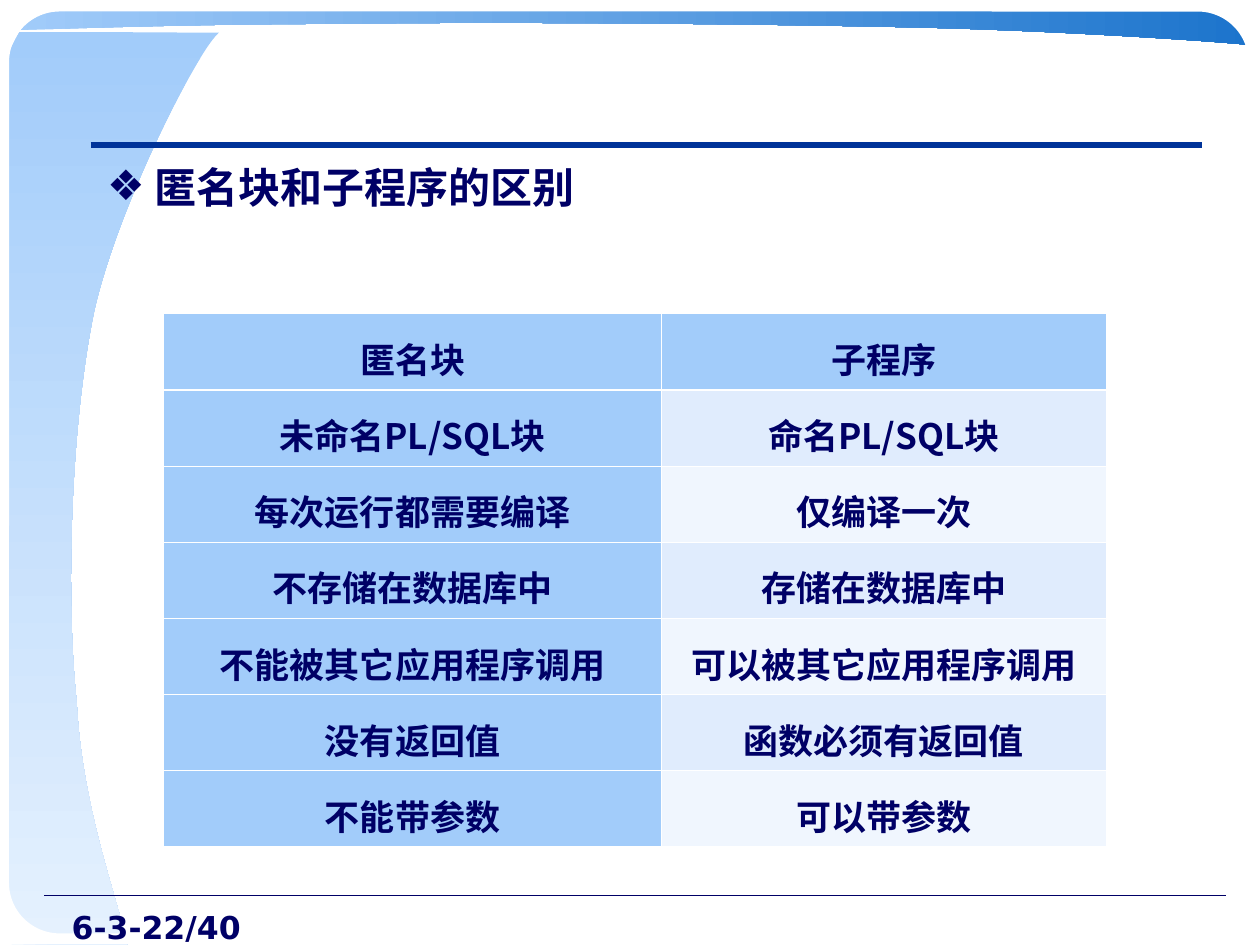
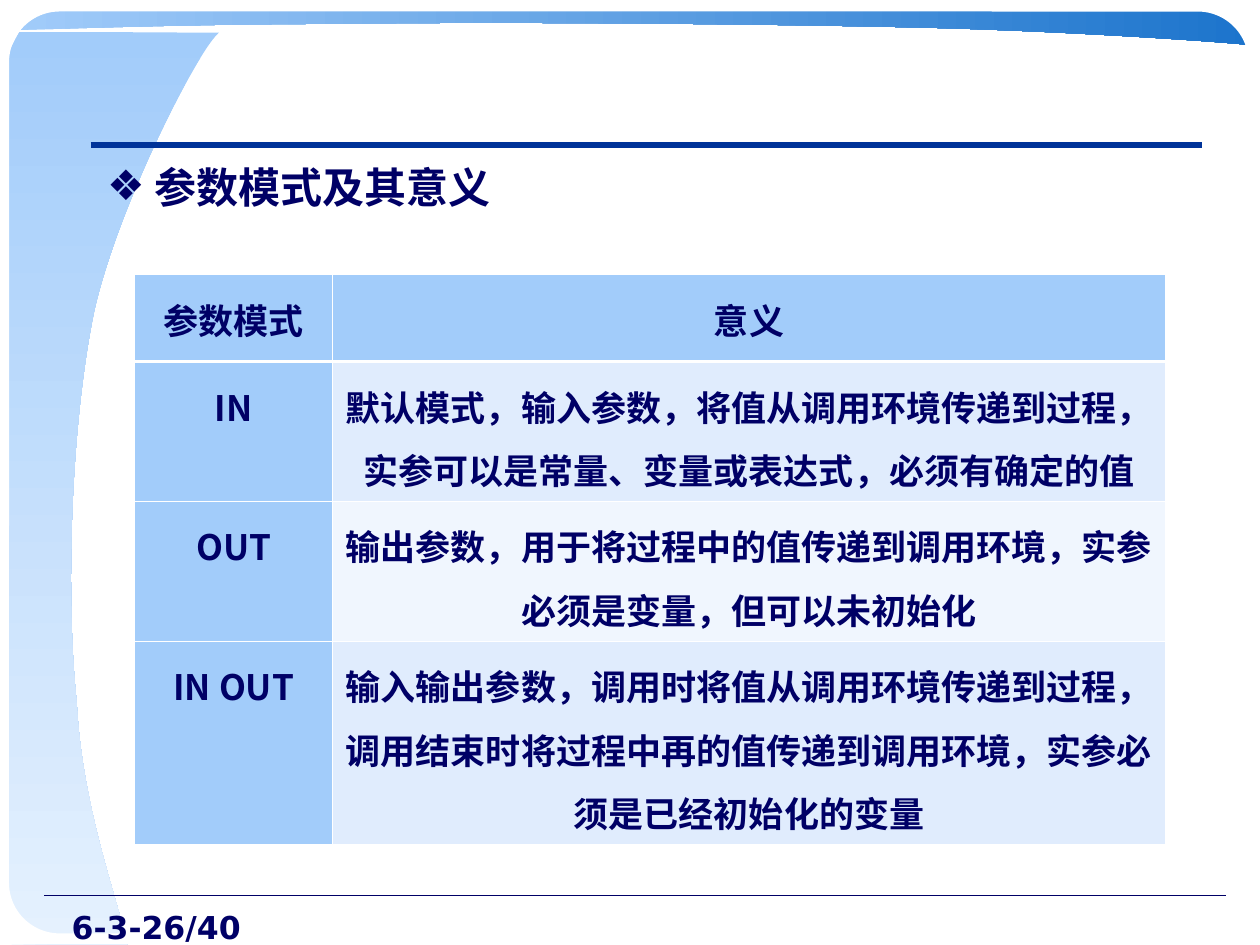
from lxml.etree import SubElement
from pptx import Presentation
from pptx.dml.color import RGBColor
from pptx.enum.shapes import MSO_CONNECTOR, MSO_SHAPE
from pptx.enum.text import MSO_ANCHOR, MSO_AUTO_SIZE, PP_ALIGN
from pptx.oxml.ns import qn
from pptx.util import Inches, Pt

NAVY, RULE_BLUE, WHITE = "000066", "003399", "FFFFFF"
SKY, PALE_SKY, DEEP_BLUE = "A2CCFA", "E5F1FE", "1C74CC"
ROW_BANDS = ("E0ECFD", "F0F6FE")
TEXT_FONT, NUMBER_FONT = "Noto Sans CJK SC", "DejaVu Sans"
TITLE_ONLY = 5

# Outlines in inches: a pair is a straight step, six numbers are a Bézier step.
SIDE_BAND = [(1.01, 7.5), (0.95, 7.18, 0.65, 6.42, 0.61, 5.58),
             (0.52, 4.74, 0.56, 3.37, 0.75, 2.46),
             (0.95, 1.59, 1.6, 0.35, 1.74, 0.26), (0.01, 0.25), (0, 7.5)]
TOP_BAND = [(0.07, 0.24), (0.51, 0.23, 1.49, 0.19, 2.71, 0.19),
            (3.86, 0.17, 6.12, 0.19, 7.36, 0.22),
            (8.54, 0.25, 9.82, 0.34, 9.94, 0.36), (9.95, 0.07), (0.07, 0.07)]
BOTTOM_LEFT_CORNER = [(0.48, 7.49), (0.19, 7.35), (0.05, 7.2), (0, 6.98), (0, 7.5)]
TOP_LEFT_CORNER = [(0, 0.55), (0.04, 0.49, 0.13, 0.26, 0.21, 0.17),
                   (0.28, 0.08, 0.5, 0.04, 0.48, 0), (0, 0.01)]
BOTTOM_RIGHT_CORNER = [(9.99, 7), (9.87, 7.25), (9.71, 7.41), (9.56, 7.5), (10, 7.49)]
TOP_RIGHT_CORNER = [(9.51, 0.01), (9.56, 0.03, 9.72, 0.02, 9.86, 0.17),
                    (9.99, 0.32, 9.97, 0.6, 9.99, 0.57), (9.99, 0.01)]
CORNERS = (BOTTOM_LEFT_CORNER, TOP_LEFT_CORNER, BOTTOM_RIGHT_CORNER, TOP_RIGHT_CORNER)

BLOCK_ROWS = [
    ("匿名块", "子程序"),
    ("未命名PL/SQL块", "命名PL/SQL块"),
    ("每次运行都需要编译", "仅编译一次"),
    ("不存储在数据库中", "存储在数据库中"),
    ("不能被其它应用程序调用", "可以被其它应用程序调用"),
    ("没有返回值", "函数必须有返回值"),
    ("不能带参数", "可以带参数"),
]
MODE_ROWS = [
    ("参数模式", "意义"),
    ("IN", "默认模式，输入参数，将值从调用环境传递到过程，实参可以是常量、变量或表达式，必须有确定的值"),
    ("OUT", "输出参数，用于将过程中的值传递到调用环境，实参必须是变量，但可以未初始化"),
    ("IN OUT", "输入输出参数，调用时将值从调用环境传递到过程，"
               "调用结束时将过程中再的值传递到调用环境，实参必须是已经初始化的变量"),
]


def color(hex_string):
    return RGBColor.from_string(hex_string)


def write_text(frame, text, size=20, font=TEXT_FONT, align=PP_ALIGN.CENTER,
               line_spacing=None, bullet=None):
    frame.word_wrap = True
    paragraph = frame.paragraphs[0]
    if bullet:
        add_bullet(paragraph, bullet)
    paragraph.alignment = align
    if line_spacing:
        paragraph.line_spacing = line_spacing
    run = paragraph.add_run()
    run.text = text
    run.font.size, run.font.bold, run.font.name = Pt(size), True, font
    run.font.color.rgb = color(NAVY)
    SubElement(run._r.get_or_add_rPr(), qn("a:ea"), typeface=font)


def add_bullet(paragraph, character, indent=Inches(0.38)):
    properties = paragraph._p.get_or_add_pPr()
    properties.set("marL", str(indent))
    properties.set("indent", str(-indent))
    bullet_color = SubElement(properties, qn("a:buClr"))
    SubElement(bullet_color, qn("a:srgbClr"), val=NAVY)
    SubElement(properties, qn("a:buFont"), typeface=NUMBER_FONT)
    SubElement(properties, qn("a:buChar"), char=character)


def curve_segments(shape, steps):
    """Join the three line segments of each Bézier step into one curve."""
    segments = iter(list(shape._element.iter(qn("a:lnTo"))))
    for step in steps[1:]:
        segment = next(segments)
        if len(step) == 6:
            segment.addprevious(curve := segment.makeelement(qn("a:cubicBezTo")))
            for line in (segment, next(segments), next(segments)):
                curve.append(line[0])
                line.getparent().remove(line)


def add_outline(slide, steps, colors, angle=0):
    """Draw a closed outline, filled with one colour or a two-colour gradient."""
    points = [(Inches(step[index]), Inches(step[index + 1]))
              for step in steps for index in range(0, len(step), 2)]
    builder = slide.shapes.build_freeform(*points[0])
    builder.add_line_segments(points[1:], close=True)
    shape = builder.convert_to_shape()
    curve_segments(shape, steps)
    shape.shadow.inherit = False
    shape.line.fill.background()
    if len(colors) == 1:
        shape.fill.solid()
        shape.fill.fore_color.rgb = color(colors[0])
    else:
        shape.fill.gradient()
        shape.fill.gradient_angle = angle
        for stop, position, stop_color in zip(shape.fill.gradient_stops, (0, 1), colors):
            stop.position = position
            stop.color.rgb = color(stop_color)


def add_rule(slide, left, right, top, line_color, width):
    rule = slide.shapes.add_connector(MSO_CONNECTOR.STRAIGHT, Inches(left), Inches(top),
                                      Inches(right), Inches(top))
    rule.line.color.rgb = color(line_color)
    rule.line.width = Pt(width)
    SubElement(rule._element.spPr, qn("a:effectLst"))


def add_frame(slide, left, top, width, height):
    """Round off the slide with a white border and white corners."""
    border = slide.shapes.add_shape(MSO_SHAPE.ROUNDED_RECTANGLE, Inches(left), Inches(top),
                                    Inches(width), Inches(height))
    border.adjustments[0] = 0.06
    border.shadow.inherit = False
    border.fill.background()
    border.line.color.rgb = color(WHITE)
    border.line.width = Pt(6)
    for corner in CORNERS:
        add_outline(slide, corner, [WHITE])


def add_background(slide):
    add_outline(slide, SIDE_BAND, [SKY, PALE_SKY], angle=270)
    add_outline(slide, TOP_BAND, [SKY, DEEP_BLUE])
    add_rule(slide, 0.35, 9.73, 7.11, NAVY, 0.75)
    add_frame(slide, 0.03, 0.05, 9.92, 7.4)
    add_rule(slide, 0.72, 9.54, 1.15, RULE_BLUE, 3)


def add_page_number(slide, left, top, width, height, number):
    box = slide.shapes.add_textbox(Inches(left), Inches(top), Inches(width), Inches(height))
    write_text(box.text_frame, number, size=18, font=NUMBER_FONT, align=PP_ALIGN.RIGHT)


def place_title(slide, left, top, width, height, text):
    title = slide.shapes.title
    title.left, title.top = Inches(left), Inches(top)
    title.width, title.height = Inches(width), Inches(height)
    title.text_frame.auto_size = MSO_AUTO_SIZE.NONE
    title.text_frame.vertical_anchor = MSO_ANCHOR.TOP
    write_text(title.text_frame, text, size=24, align=PP_ALIGN.LEFT, bullet="❖")
    # The bands are drawn after the placeholder, so bring the title to the front.
    title.element.getparent().append(title.element)


def set_borders(cell, **widths):
    properties = cell._tc.get_or_add_tcPr()
    for side in ("L", "R", "T", "B"):
        line = SubElement(properties, qn(f"a:ln{side}"), w=str(Pt(widths.get(side, 0.45))))
        fill = SubElement(line, qn("a:solidFill"))
        SubElement(fill, qn("a:srgbClr"), val=WHITE)


def add_comparison_table(slide, left, top, column_widths, row_heights, rows):
    table = slide.shapes.add_table(
        len(rows), len(column_widths), Inches(left), Inches(top),
        Inches(sum(column_widths)), Inches(sum(row_heights))).table
    for column, width in zip(table.columns, column_widths):
        column.width = Inches(width)
    for row, height in zip(table.rows, row_heights):
        row.height = Inches(height)
    header_borders = {0: {"B": 1.47}, 1: {"T": 1.47}}
    for row_index, texts in enumerate(rows):
        for column_index, text in enumerate(texts):
            cell = table.cell(row_index, column_index)
            is_header = row_index == 0 or column_index == 0
            set_borders(cell, **header_borders.get(row_index, {}))
            cell.fill.solid()
            cell.fill.fore_color.rgb = color(SKY if is_header
                                             else ROW_BANDS[(row_index - 1) % 2])
            cell.margin_left = cell.margin_right = Inches(0.07)
            cell.margin_top = cell.margin_bottom = Inches(0.05)
            write_text(cell.text_frame, text, line_spacing=1.25)


def add_table_slide(presentation, title, title_height, number, **table):
    slide = presentation.slides.add_slide(presentation.slide_layouts[TITLE_ONLY])
    add_background(slide)
    add_page_number(slide, 0, 7.16, 2.01, 0.34, number)
    place_title(slide, 0.75, 1.23, 8.76, title_height, title)
    add_comparison_table(slide, **table)


def main():
    presentation = Presentation()
    presentation.slide_width, presentation.slide_height = Inches(10), Inches(7.5)
    add_table_slide(presentation, "匿名块和子程序的区别", 5.83, "6-3-22/40",
                    left=1.3, top=2.49, column_widths=[3.95, 3.53],
                    row_heights=[0.52] * len(BLOCK_ROWS), rows=BLOCK_ROWS)
    add_table_slide(presentation, "参数模式及其意义", 5.43, "6-3-26/40",
                    left=1.07, top=2.18, column_widths=[1.57, 6.61],
                    row_heights=[0.69, 1.03, 0.94, 1.25], rows=MODE_ROWS)
    presentation.save("out.pptx")


if __name__ == "__main__":
    main()
